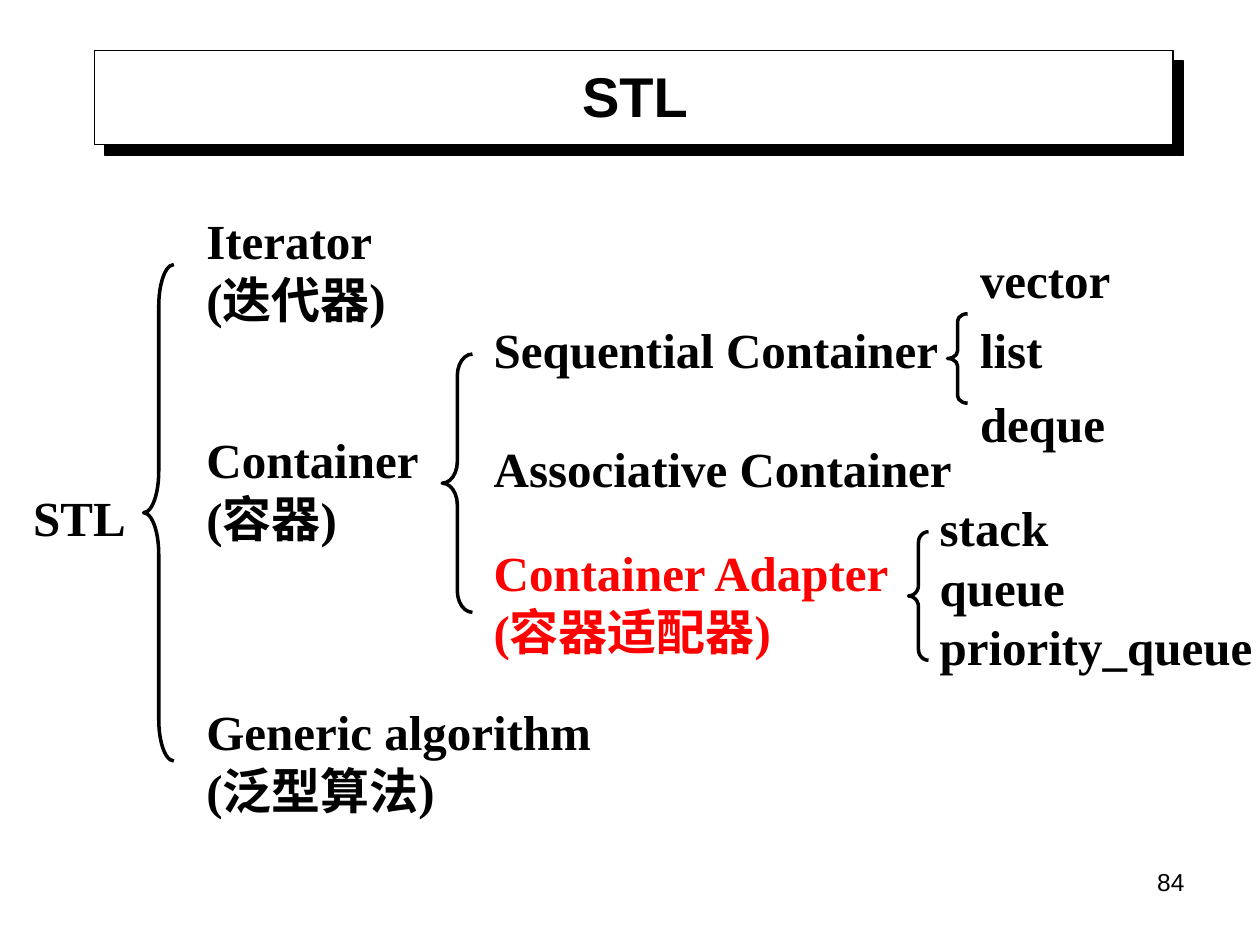
from dataclasses import dataclass

import pptx
import pptx.dml.color
import pptx.enum.shapes
import pptx.enum.text
import pptx.oxml
import pptx.oxml.ns
import pptx.util
from pptx.util import Inches

ALIGN = pptx.enum.text.PP_ALIGN
ANCHOR = pptx.enum.text.MSO_ANCHOR
SHAPE = pptx.enum.shapes.MSO_SHAPE


@dataclass(frozen=True)
class Theme:
    ink: str = "000000"
    accent: str = "FF0000"
    paper: str = "FFFFFF"
    heading_font: str = "Arial"
    body_font: str = "Times New Roman"
    title_size: int = 32
    body_size: int = 28
    number_size: int = 14
    frame_width: float = 0.75
    brace_width: float = 2


THEME = Theme()


@dataclass(frozen=True)
class Label:
    text: str
    x: float
    y: float
    w: float
    h: float = 0.55
    color: str = THEME.ink
    align: ALIGN = ALIGN.LEFT


@dataclass(frozen=True)
class Brace:
    x: float
    y: float
    w: float
    h: float


ROOT_X, BRANCH_X, CONTAINER_X, ADAPTER_X, SEQUENCE_X = 0.12, 1.54, 3.82, 7.36, 7.68

LABELS = [
    Label("STL", ROOT_X, 3.75, 1.02, 0.71, align=ALIGN.CENTER),
    Label("Container\n(容器)", BRANCH_X, 3.52, 2.05, 0.71),
    Label("Iterator\n(迭代器)", BRANCH_X, 1.78, 1.97, 0.71),
    Label("Generic algorithm\n(泛型算法)", BRANCH_X, 5.64, 3.62, 0.79),
    Label("Sequential Container", CONTAINER_X, 2.49, 4.1),
    Label("Associative Container", CONTAINER_X, 3.44, 4.1),
    Label("Container Adapter\n(容器适配器)", CONTAINER_X, 4.38, 3.47, 0.79, THEME.accent),
    Label("vector", SEQUENCE_X, 1.94, 1.1),
    Label("list", SEQUENCE_X, 2.49, 1.1),
    Label("deque", SEQUENCE_X, 3.04, 1.1, 0.63),
]
LABELS += [
    Label(name, ADAPTER_X, 3.91 + 0.47 * i, 1.1)
    for i, name in enumerate(["stack", "queue", "priority_queue"])
]

BRACES = [
    Brace(1.14, 2.1, 0.24, 3.94),
    Brace(3.51, 2.81, 0.24, 2.05),
    Brace(7.21, 4.22, 0.16, 1.02),
    Brace(7.52, 2.49, 0.16, 0.71),
]


def rgb(color: str) -> pptx.dml.color.RGBColor:
    return pptx.dml.color.RGBColor.from_string(color)


def write(tf, text: str, *, font=THEME.body_font, size=THEME.body_size, color=THEME.ink,
          bold=True, align=ALIGN.LEFT, anchor=ANCHOR.MIDDLE, wrap=False, insets=(0.1, 0.05)):
    tf.word_wrap = wrap
    tf.auto_size = pptx.enum.text.MSO_AUTO_SIZE.NONE
    tf.vertical_anchor = anchor
    tf.margin_left = tf.margin_right = Inches(insets[0])
    tf.margin_top = tf.margin_bottom = Inches(insets[1])
    for i, line in enumerate(text.split("\n")):
        p = tf.add_paragraph() if i else tf.paragraphs[0]
        p.alignment = align
        r = p.add_run()
        r.text = line
        r.font.name = font
        r.font.size = pptx.util.Pt(size)
        r.font.bold = bold
        r.font.color.rgb = rgb(color)


def add_title(s, text: str) -> None:
    sp = s.shapes.title
    sp.left, sp.top, sp.width, sp.height = map(Inches, (0.75, 0.44, 8.58, 0.63))
    write(sp.text_frame, text, font=THEME.heading_font, size=THEME.title_size,
          align=ALIGN.CENTER, wrap=True, insets=(0, 0))


def add_title_frame(s) -> None:
    sp = s.shapes.add_shape(SHAPE.RECTANGLE, *map(Inches, (0.75, 0.4, 8.56, 0.75)))
    sp.fill.solid()
    sp.fill.fore_color.rgb = rgb(THEME.paper)
    sp.line.color.rgb = rgb(THEME.ink)
    sp.line.width = pptx.util.Pt(THEME.frame_width)
    effects = pptx.oxml.parse_xml(
        f'<a:effectLst {pptx.oxml.ns.nsdecls("a")}>'
        f'<a:outerShdw dist="{pptx.util.Pt(8.5)}" dir="{45 * 60000}" algn="ctr" rotWithShape="0">'
        f'<a:srgbClr val="{THEME.ink}"/></a:outerShdw></a:effectLst>'
    )
    sp._element.spPr.append(effects)
    s.shapes.title._element.addprevious(sp._element)


def add_label(s, label: Label) -> None:
    sp = s.shapes.add_textbox(*map(Inches, (label.x, label.y, label.w, label.h)))
    write(sp.text_frame, label.text, color=label.color, align=label.align)


def add_brace(s, brace: Brace) -> None:
    sp = s.shapes.add_shape(SHAPE.LEFT_BRACE, *map(Inches, (brace.x, brace.y, brace.w, brace.h)))
    sp.adjustments[0] = brace.h / 12 / brace.w
    sp.shadow.inherit = False
    sp.fill.background()
    sp.line.color.rgb = rgb(THEME.ink)
    sp.line.width = pptx.util.Pt(THEME.brace_width)


def add_page_number(s, number: str) -> None:
    sp = s.shapes.add_textbox(*map(Inches, (7.17, 6.83, 2.33, 0.52)))
    write(sp.text_frame, number, font=THEME.heading_font, size=THEME.number_size,
          bold=False, align=ALIGN.RIGHT, anchor=ANCHOR.TOP, wrap=True)


def main() -> None:
    prs = pptx.Presentation()
    prs.slide_width, prs.slide_height = Inches(10), Inches(7.5)
    s = prs.slides.add_slide(prs.slide_layouts[5])
    add_title_frame(s)
    add_title(s, "STL")
    add_page_number(s, "84")
    for label in LABELS:
        add_label(s, label)
    for brace in BRACES:
        add_brace(s, brace)
    prs.save("out.pptx")


if __name__ == "__main__":
    main()
